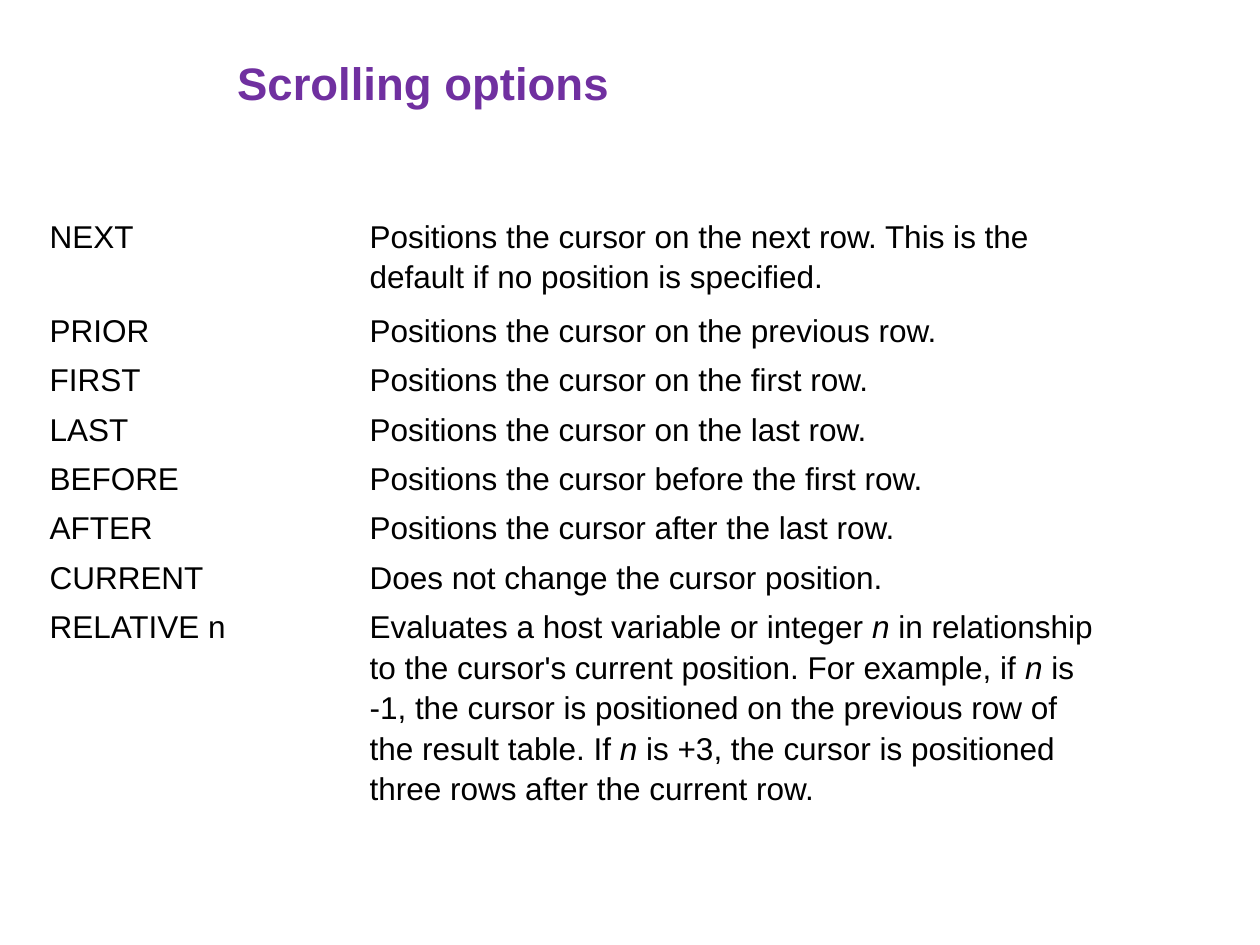
"""Build a slide that lists the scrolling options of a cursor."""
from dataclasses import dataclass

from pptx import Presentation
from pptx.dml.color import RGBColor
from pptx.enum.text import MSO_ANCHOR as Anchor, PP_ALIGN as Align
from pptx.slide import Slide
from pptx.util import Cm, Pt

OPTIONS = [
    ("NEXT", "Positions the cursor on the next row. This is the default if no position is specified."),
    ("PRIOR", "Positions the cursor on the previous row."),
    ("FIRST", "Positions the cursor on the first row."),
    ("LAST", "Positions the cursor on the last row."),
    ("BEFORE", "Positions the cursor before the first row."),
    ("AFTER", "Positions the cursor after the last row."),
    ("CURRENT", "Does not change the cursor position."),
    ("RELATIVE n", "Evaluates a host variable or integer *n* in relationship to the cursor's "
                   "current position. For example, if *n* is -1, the cursor is positioned on the "
                   "previous row of the result table. If *n* is +3, the cursor is positioned three "
                   "rows after the current row."),
]
COLUMN_WIDTHS = [6.45, 14.86]
ROW_HEIGHTS = [1.9] + [0.995] * 6 + [3.73]


def color(hex_code):
    return RGBColor.from_string(hex_code)


@dataclass
class SlideWriter:
    slide: Slide
    font: str = "Arial"
    title_color: str = "7030A0"
    body_color: str = "000000"
    title_size: int = 26
    body_size: int = 18

    def style(self, run, size, hex_code, bold=False, italic=False):
        run.font.name = self.font
        run.font.size = Pt(size)
        run.font.color.rgb = color(hex_code)
        run.font.bold = bold
        run.font.italic = italic

    def title(self, text, left, top, width, height):
        heading = self.slide.shapes.title
        heading.left, heading.top = Cm(left), Cm(top)
        heading.width, heading.height = Cm(width), Cm(height)
        frame = heading.text_frame
        frame.text = text
        frame.vertical_anchor = Anchor.BOTTOM
        paragraph = frame.paragraphs[0]
        paragraph.alignment = Align.CENTER
        self.style(paragraph.runs[0], self.title_size, self.title_color, bold=True)

    def cell(self, cell, text):
        cell.fill.background()
        cell.margin_left = cell.margin_right = Cm(0.03)
        cell.margin_top = cell.margin_bottom = Cm(0.03)
        paragraph = cell.text_frame.paragraphs[0]
        paragraph.line_spacing = 1.15
        for index, part in enumerate(text.split("*")):
            run = paragraph.add_run()
            run.text = part
            self.style(run, self.body_size, self.body_color, italic=index % 2 == 1)

    def table(self, rows, left, top, widths, heights):
        table = self.slide.shapes.add_table(
            len(rows), len(widths), Cm(left), Cm(top), Cm(sum(widths)), Cm(sum(heights))).table
        table.first_row = table.horz_banding = False
        for column, width in zip(table.columns, widths):
            column.width = Cm(width)
        for row, height, texts in zip(table.rows, heights, rows):
            row.height = Cm(height)
            for cell, text in zip(row.cells, texts):
                self.cell(cell, text)


def main():
    deck = Presentation()
    deck.slide_width, deck.slide_height = Cm(25.4), Cm(19.05)
    writer = SlideWriter(deck.slides.add_slide(deck.slide_layouts[5]))
    writer.title("Scrolling options ", 1.42, 0.86, 14.48, 1.47)
    writer.table(OPTIONS, 0.97, 4.29, COLUMN_WIDTHS, ROW_HEIGHTS)
    deck.save("out.pptx")


if __name__ == "__main__":
    main()
